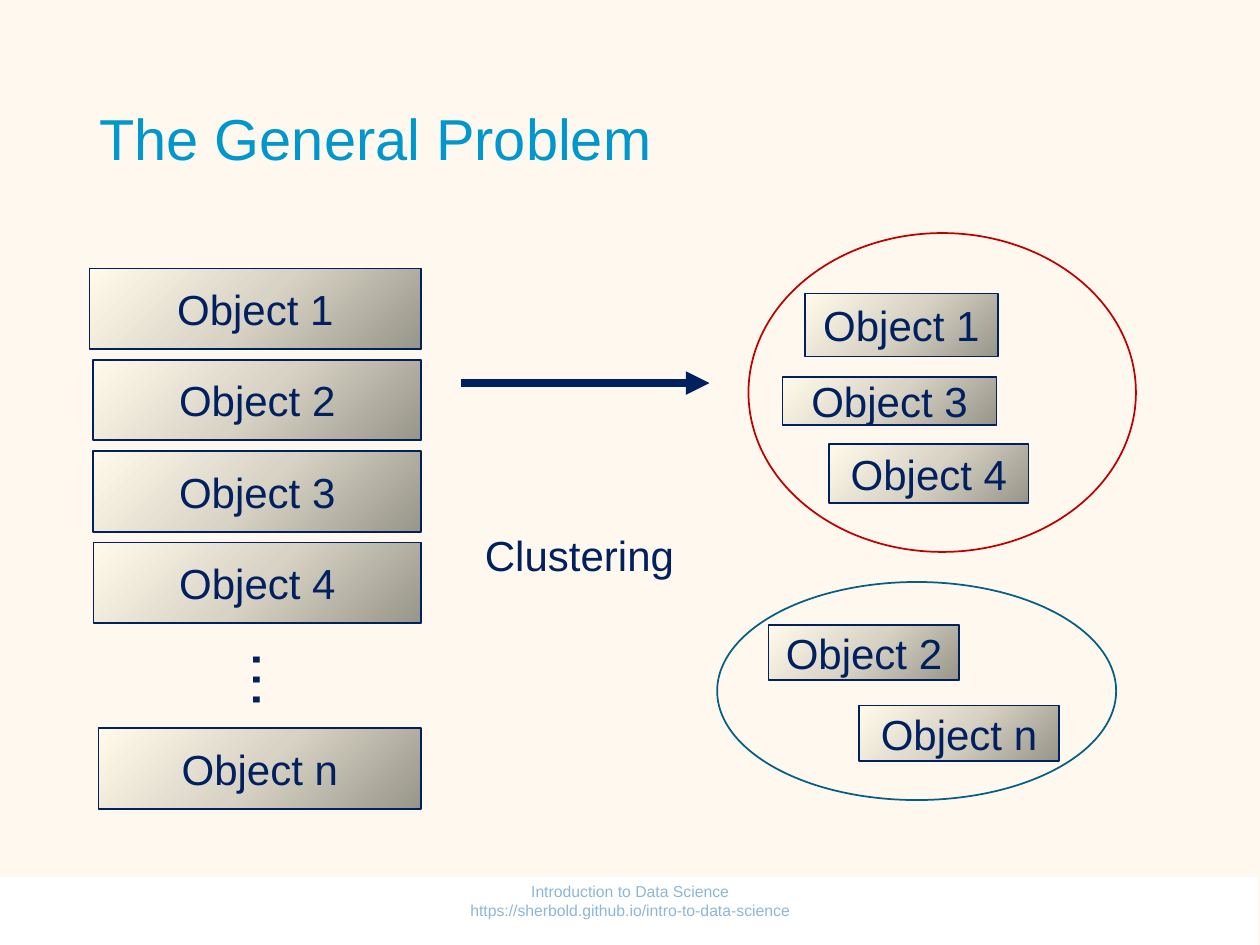
"""Build a slide on clustering: a list of objects is grouped into two clusters."""
from typing import NamedTuple

from lxml import etree
from pptx import Presentation
from pptx import util as u
from pptx.dml.color import RGBColor
from pptx.enum import shapes, text
from pptx.oxml import parse_xml
from pptx.oxml.ns import nsdecls, qn

CREAM = RGBColor(0xFF, 0xF8, 0xEF)
WHITE = RGBColor(0xFF, 0xFF, 0xFF)
NAVY = RGBColor(0x00, 0x20, 0x60)
SKY = RGBColor(0x00, 0x97, 0xCE)
PALE_BLUE = RGBColor(0x8C, 0xB7, 0xDA)
RED = RGBColor(0xC0, 0x00, 0x00)
TEAL = RGBColor(0x04, 0x5F, 0x87)
SHADES = {
    0: RGBColor(0x98, 0x95, 0x8A),
    50: RGBColor(0xD8, 0xD3, 0xC4),
    100: RGBColor(0xFF, 0xFA, 0xEA),
}


class Box(NamedTuple):
    left: float
    top: float
    width: float
    height: float

    def emu(self) -> list:
        return [u.Pt(length) for length in self]


class DataObject(NamedTuple):
    label: str
    box: Box


class Cluster(NamedTuple):
    box: Box
    color: RGBColor
    members: list[DataObject]


LIST_RIGHT, LIST_TOP, LIST_PITCH, LIST_HEIGHT = 240.7, 153.4, 52.2, 46.1
LIST_LEFTS = [51.1, 53.3, 53.3, 53.5]
OBJECTS = [
    DataObject(
        f"Object {row + 1}",
        Box(left, LIST_TOP + row * LIST_PITCH, LIST_RIGHT - left, LIST_HEIGHT),
    )
    for row, left in enumerate(LIST_LEFTS)
] + [DataObject("Object n", Box(56.2, 416.2, LIST_RIGHT - 56.2, LIST_HEIGHT))]

CLUSTERS = [
    Cluster(Box(427.7, 133.2, 221.4, 182.2), RED, [
        DataObject("Object 1", Box(460.1, 167.8, 110, 36)),
        DataObject("Object 3", Box(447.1, 215.3, 122.4, 27.4)),
        DataObject("Object 4", Box(473.8, 253.6, 114, 33.8)),
    ]),
    Cluster(Box(409.8, 332.6, 228, 124.6), TEAL, [
        DataObject("Object 2", Box(439.2, 357.1, 109, 31.7)),
        DataObject("Object n", Box(491, 403.2, 114, 31.7)),
    ]),
]


def write(shape, content: str, *, size: float = 24, color: RGBColor = NAVY,
          align=text.PP_ALIGN.LEFT, anchor=text.MSO_ANCHOR.TOP,
          wrap: bool = True, spacing: float = 1.0) -> None:
    frame = shape.text_frame
    frame.word_wrap = wrap
    frame.vertical_anchor = anchor
    frame.text = content
    paragraph = frame.paragraphs[0]
    paragraph.alignment = align
    paragraph.line_spacing = spacing
    font = paragraph.runs[0].font
    font.name, font.size = "Arial", u.Pt(size)
    font.color.rgb = color


def add_outline(slide, kind, box: Box, color: RGBColor):
    shape = slide.shapes.add_shape(kind, *box.emu())
    shape.shadow.inherit = False
    shape.fill.background()
    shape.line.color.rgb = color
    shape.line.width = u.Pt(1)
    return shape


def shade(shape) -> None:
    stops = "".join(
        f'<a:gs pos="{percent * 1000}"><a:srgbClr val="{color}"/></a:gs>'
        for percent, color in SHADES.items()
    )
    gradient = parse_xml(
        f'<a:gradFill {nsdecls("a")} rotWithShape="1"><a:gsLst>{stops}</a:gsLst>'
        '<a:path path="circle"><a:fillToRect l="100000" t="100000"/></a:path>'
        "</a:gradFill>"
    )
    properties = shape._element.spPr
    properties.replace(properties.find(qn("a:noFill")), gradient)


def add_object(slide, item: DataObject) -> None:
    shape = add_outline(slide, shapes.MSO_SHAPE.RECTANGLE, item.box, NAVY)
    shade(shape)
    write(shape, item.label, align=text.PP_ALIGN.CENTER,
          anchor=text.MSO_ANCHOR.MIDDLE, wrap=False)


def add_arrow(slide, left: float, right: float, y: float) -> None:
    arrow = slide.shapes.add_connector(
        shapes.MSO_CONNECTOR.STRAIGHT, u.Pt(left), u.Pt(y), u.Pt(right), u.Pt(y))
    arrow.line.color.rgb = NAVY
    arrow.line.width = u.Pt(4.5)
    properties = arrow._element.spPr
    etree.SubElement(properties.find(qn("a:ln")), qn("a:tailEnd"), type="triangle")
    etree.SubElement(properties, qn("a:effectLst"))


def main() -> None:
    prs = Presentation()
    prs.slide_width, prs.slide_height = u.Pt(720), u.Pt(540)
    slide = prs.slides.add_slide(prs.slide_layouts[5])
    slide.background.fill.solid()
    slide.background.fill.fore_color.rgb = CREAM

    title = slide.shapes.title
    title.left, title.top, title.width, title.height = Box(49.7, 28.8, 620.6, 104.4).emu()
    write(title, "The General Problem", size=33, color=SKY,
          anchor=text.MSO_ANCHOR.MIDDLE, spacing=0.9)

    band = add_outline(slide, shapes.MSO_SHAPE.RECTANGLE, Box(0, 501.1, 718.6, 38.9), WHITE)
    band.line.fill.background()
    band.fill.solid()
    band.fill.fore_color.rgb = WHITE
    footer = slide.shapes.add_textbox(*Box(238.3, 500.4, 243.4, 28.8).emu())
    write(footer, "Introduction to Data Science https://sherbold.github.io/intro-to-data-science",
          size=9, color=PALE_BLUE, align=text.PP_ALIGN.CENTER, anchor=text.MSO_ANCHOR.MIDDLE)

    for cluster in CLUSTERS:
        add_outline(slide, shapes.MSO_SHAPE.OVAL, cluster.box, cluster.color)
    add_arrow(slide, 263.5, 405.4, 218.9)
    step = slide.shapes.add_textbox(*Box(270, 298.8, 123.8, 36).emu())
    write(step, "Clustering", wrap=False)

    for item in OBJECTS:
        add_object(slide, item)
    dots = slide.shapes.add_textbox(*Box(139, 357.8, 39.6, 51.1).emu())
    dots.rotation = 90
    write(dots, "…", size=36)

    for cluster in CLUSTERS:
        for member in cluster.members:
            add_object(slide, member)

    prs.save("out.pptx")


if __name__ == "__main__":
    main()
